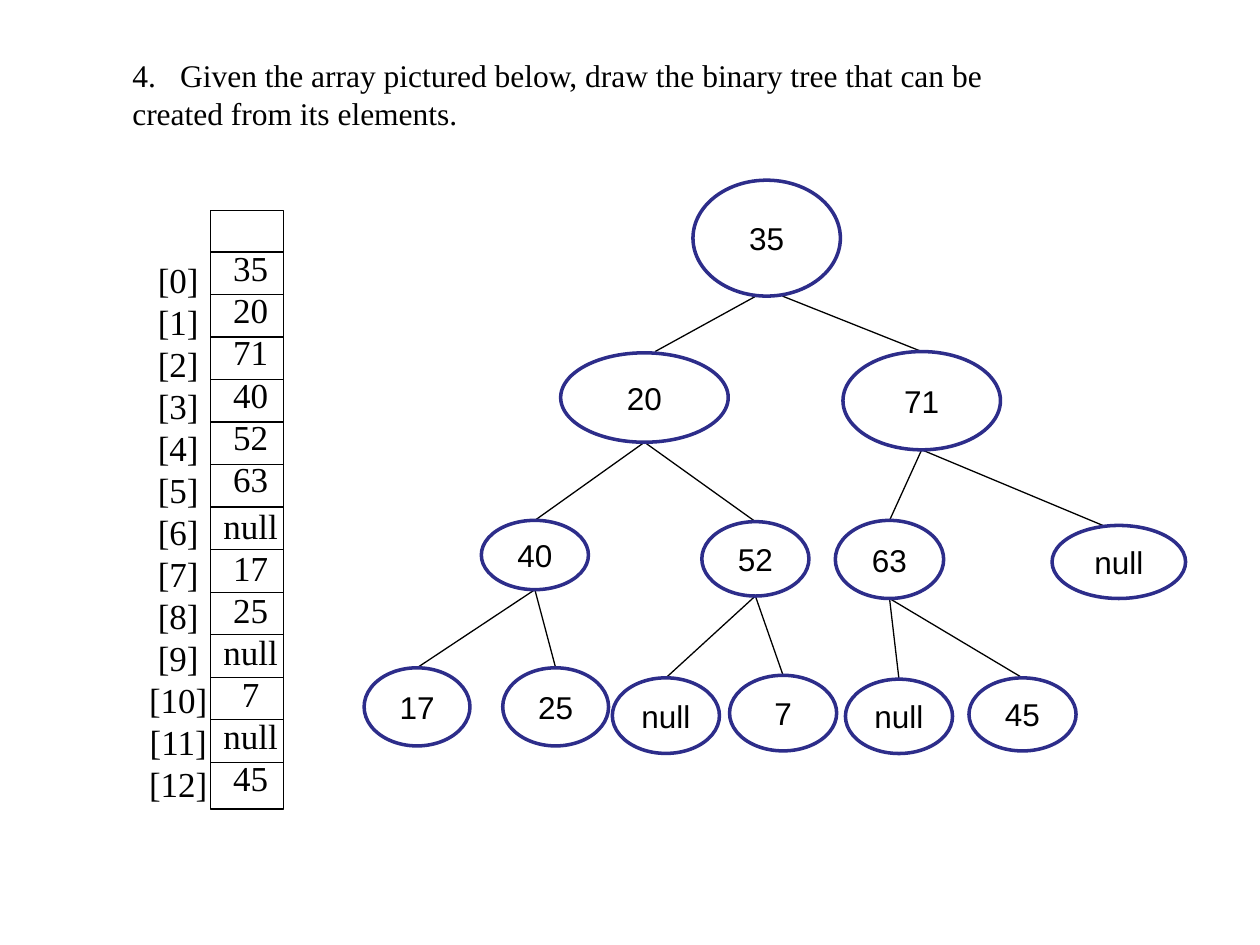
from dataclasses import dataclass
from typing import Optional

from lxml import etree
from pptx import Presentation
from pptx.dml.color import RGBColor
from pptx.enum.shapes import MSO_CONNECTOR, MSO_SHAPE
from pptx.enum.text import MSO_ANCHOR, MSO_AUTO_SIZE, PP_ALIGN
from pptx.oxml.ns import qn
from pptx.util import Inches, Pt

STRAIGHT = MSO_CONNECTOR.STRAIGHT
RECTANGLE, ELLIPSE = MSO_SHAPE.RECTANGLE, MSO_SHAPE.OVAL
TOP, MIDDLE = MSO_ANCHOR.TOP, MSO_ANCHOR.MIDDLE
LEFT, CENTER = PP_ALIGN.LEFT, PP_ALIGN.CENTER
NO_AUTOFIT = MSO_AUTO_SIZE.NONE
BLACK, WHITE, NAVY = "000000", "FFFFFF", "2D2D8A"
SERIF, SANS = "Times New Roman", "Arial"


@dataclass
class Node:
    text: str
    left: float
    top: float
    width: float
    height: float
    start_x: Optional[float] = None  # where the edge leaves the parent
    end: Optional[tuple[float, float]] = None  # where the edge arrives

    @property
    def center_x(self) -> float:
        return self.left + self.width / 2

    @property
    def bottom(self) -> float:
        return self.top + self.height


# Array order: the parent of node i is node (i - 1) // 2
NODES = [
    Node("35", 5.5, 1.43, 1.17, 0.92),
    Node("20", 4.45, 2.8, 1.33, 0.71, start_x=6, end=(5.2, 2.79)),
    Node("71", 6.69, 2.79, 1.25, 0.78, start_x=6.21),
    Node("40", 3.82, 4.13, 0.85, 0.55),
    Node("52", 5.57, 4.14, 0.85, 0.59),
    Node("63", 6.63, 4.13, 0.86, 0.62),
    Node("null", 8.35, 4.17, 1.06, 0.58, end=(8.92, 4.24)),
    Node("17", 2.89, 5.3, 0.84, 0.62),
    Node("25", 3.99, 5.3, 0.84, 0.62),
    Node("null", 4.86, 5.38, 0.85, 0.6),
    Node("7", 5.79, 5.36, 0.85, 0.6),
    Node("null", 6.71, 5.39, 0.85, 0.59),
    Node("45", 7.69, 5.38, 0.85, 0.58),
]
ARRAY_LEFT, ARRAY_TOP, ARRAY_WIDTH, ARRAY_HEIGHT = 1.67, 1.67, 0.58, 4.75
FIRST_RULE, LAST_RULE = 2.0, 6.05


def color(value: str) -> RGBColor:
    return RGBColor.from_string(value)


def place(shape, left: float, top: float, width: float, height: float) -> None:
    shape.left, shape.top = Inches(left), Inches(top)
    shape.width, shape.height = Inches(width), Inches(height)


def write_lines(frame, lines: list[str], *, size: float, font: str = SERIF,
                align=CENTER, anchor=TOP, wrap: bool = False,
                spacing: Optional[float] = None) -> None:
    frame.auto_size = NO_AUTOFIT
    frame.word_wrap = wrap
    frame.vertical_anchor = anchor
    for index, line in enumerate(lines):
        paragraph = frame.add_paragraph() if index else frame.paragraphs[0]
        paragraph.alignment = align
        if spacing:
            paragraph.line_spacing = Pt(spacing)
        run = paragraph.add_run()
        run.text = line
        run.font.size = Pt(size)
        run.font.name = font
        run.font.color.rgb = color(BLACK)


def number_paragraph(paragraph, start: int, indent: float) -> None:
    properties = paragraph._p.get_or_add_pPr()
    properties.set("marL", str(Inches(indent)))
    properties.set("indent", str(-Inches(indent)))
    numbering = etree.SubElement(properties, qn("a:buAutoNum"))
    numbering.set("type", "arabicPeriod")
    numbering.set("startAt", str(start))


def add_outline(slide, kind, box: tuple, line: str, width: float,
                fill: Optional[str] = None):
    shape = slide.shapes.add_shape(kind, *map(Inches, box))
    shape.shadow.inherit = False
    if fill:
        shape.fill.solid()
        shape.fill.fore_color.rgb = color(fill)
    else:
        shape.fill.background()
    shape.line.color.rgb = color(line)
    shape.line.width = Pt(width)
    return shape


def add_line(slide, start: tuple[float, float], end: tuple[float, float]) -> None:
    connector = slide.shapes.add_connector(STRAIGHT, *map(Inches, (*start, *end)))
    connector.line.color.rgb = color(BLACK)
    connector.line.width = Pt(0.75)
    etree.SubElement(connector._element.spPr, qn("a:effectLst"))


def add_column(slide, box: tuple, lines: list[str]):
    frame = slide.shapes.add_textbox(*map(Inches, box)).text_frame
    write_lines(frame, lines, size=20, spacing=24)
    return frame


def add_array(slide) -> None:
    box = (ARRAY_LEFT, ARRAY_TOP, ARRAY_WIDTH, ARRAY_HEIGHT)
    add_outline(slide, RECTANGLE, box, BLACK, 0.75)
    add_column(slide, (1.08, 2, 0.67, 4.48), [f"[{i}]" for i in range(len(NODES))])
    step = (LAST_RULE - FIRST_RULE) / (len(NODES) - 1)
    for index in range(len(NODES)):
        y = FIRST_RULE + index * step
        add_line(slide, (ARRAY_LEFT, y), (ARRAY_LEFT + ARRAY_WIDTH, y))
    values = add_column(slide, (1.67, 1.58, 0.64, 4.81), [node.text for node in NODES])
    values.margin_top = Inches(0.38)  # the first cell stays empty
    values.paragraphs[6].space_before = Pt(3)


def add_tree(slide) -> None:
    for index, node in enumerate(NODES):
        if index:
            parent = NODES[(index - 1) // 2]
            start = (node.start_x or parent.center_x, parent.bottom)
            add_line(slide, start, node.end or (node.center_x, node.top))
    for node in NODES:
        box = (node.left, node.top, node.width, node.height)
        ellipse = add_outline(slide, ELLIPSE, box, NAVY, 2, fill=WHITE)
        write_lines(ellipse.text_frame, [node.text], size=18, font=SANS,
                    anchor=MIDDLE, wrap=True)


presentation = Presentation()
presentation.slide_width, presentation.slide_height = Inches(10), Inches(7.5)
slide = presentation.slides.add_slide(presentation.slide_layouts[5])

# Numbered question
title = slide.shapes.title
place(title, 0.95, 0.39, 7.02, 0.71)
write_lines(title.text_frame, [
    "Given the array pictured below, draw the binary tree that can be",
    "created from its elements.",
], size=18, align=LEFT, spacing=21.7)
number_paragraph(title.text_frame.paragraphs[0], start=4, indent=0.38)

# Array and its binary tree
add_array(slide)
add_tree(slide)

presentation.save("out.pptx")
